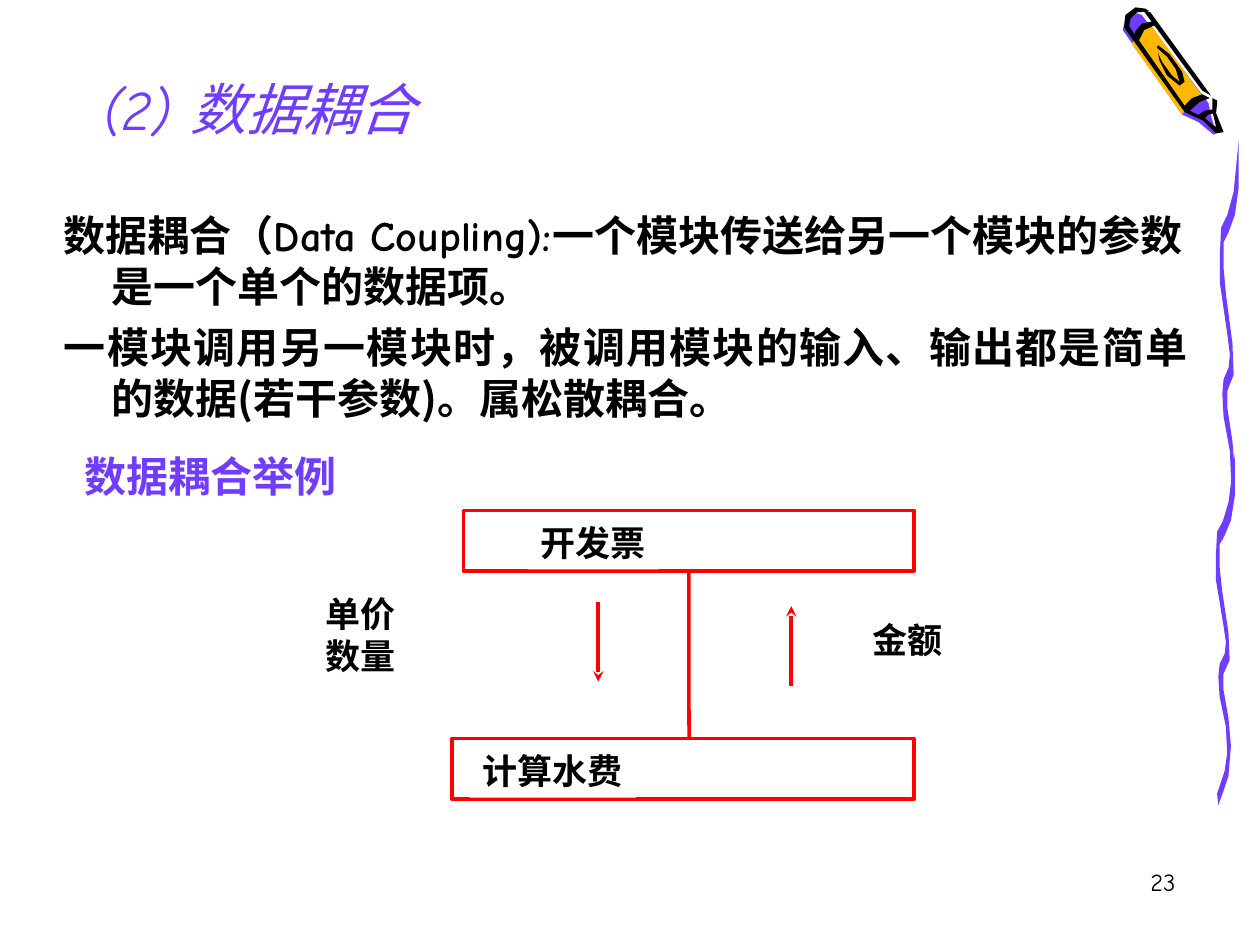
from dataclasses import dataclass

from lxml.etree import SubElement
from pptx import Presentation
from pptx.dml.color import RGBColor
from pptx.enum.shapes import MSO_CONNECTOR as CONN, MSO_SHAPE as SHAPE
from pptx.enum.text import MSO_ANCHOR as ANCHOR, PP_ALIGN as ALIGN
from pptx.oxml.ns import qn
from pptx.util import Cm, Pt


@dataclass(frozen=True)
class Theme:
    latin: str = "Comic Neue"
    cjk: str = "Noto Sans CJK SC"
    purple: str = "703DFF"
    orange: str = "FFB800"
    pale: str = "F8F8F8"
    white: str = "FFFFFF"
    black: str = "000000"
    red: str = "FF0000"
    title: int = 32
    body: int = 24
    label: int = 20
    number: int = 14
    line: int = 2


T = Theme()
UNIT = Cm(2.54) // 100  # grid step of the freeform outlines

# One wavy stroke on a grid 15 wide and 278 high
WAVE_HEIGHT = 278
WAVE = [
    (1, 269), (7, 251), (9, 237), (8, 216), (3, 192), (2, 176), (3, 166), (7, 158),
    (8, 149), (6, 135), (0, 99), (0, 81), (1, 61), (6, 52), (11, 36), (15, 0),
    (15, 33), (12, 52), (7, 64), (3, 71), (3, 89), (5, 108), (10, 141), (11, 163),
    (6, 174), (6, 186), (10, 209), (12, 231), (10, 255), (6, 267), (2, 278)]

CRAYON = [
    (T.pale, [(78, 97), (73, 82), (62, 60), (19, 3), (12, 1), (6, 6), (4, 16),
              (51, 82), (66, 89), (76, 98)]),
    (T.purple, [(16, 6), (69, 76), (71, 86), (75, 100), (73, 101), (61, 91),
                (48, 85), (1, 18), (3, 9), (10, 4)]),
    (T.orange, [(8, 29), (48, 85), (56, 75), (66, 73), (24, 15), (15, 19)]),
    (T.black, [(72, 81), (66, 82), (60, 86), (66, 88), (69, 85), (74, 84)]),
    (T.black, [(19, 1), (11, 0), (3, 6), (2, 16), (50, 83), (65, 90), (75, 100),
               (81, 99), (75, 84), (76, 74), (72, 72), (72, 82), (75, 95), (66, 88),
               (54, 82), (62, 75), (70, 72), (64, 69), (56, 72), (50, 78), (6, 15),
               (7, 9), (12, 4), (22, 3)]),
    (T.black, [(23, 4), (71, 70), (64, 66), (17, 2)]),
    (T.black, [(25, 11), (16, 13), (11, 19), (10, 24), (13, 28), (18, 18), (27, 14)]),
    (T.black, [(28, 32), (36, 39), (43, 49), (46, 59), (40, 54), (32, 43), (29, 36),
               (30, 42), (36, 54), (46, 62), (50, 59), (48, 51), (38, 37), (29, 30)]),
]


def rgb(color):
    return RGBColor.from_string(color)


def style(p, size, color, font=T.cjk, bold=False, italic=False):
    """Format the runs of a paragraph, with a line pitch of 1.2 times the size."""
    p.line_spacing = Pt(round(size * 1.2))
    for r in p.runs:
        f = r.font
        f.name, f.size, f.bold, f.italic = font, Pt(size), bold, italic
        f.color.rgb = rgb(color)
        SubElement(r._r.get_or_add_rPr(), qn("a:ea"), typeface=T.cjk)


def add_outline(slide, left, top, points, color, x_scale=UNIT, y_scale=UNIT):
    builder = slide.shapes.build_freeform(*points[0], scale=(x_scale, y_scale))
    builder.add_line_segments(points[1:], close=True)
    sp = builder.convert_to_shape(left, top)
    sp.shadow.inherit = False
    sp.fill.solid()
    sp.fill.fore_color.rgb = rgb(color)
    sp.line.fill.background()


def add_wave(slide, left, top, height):
    add_outline(slide, left, top, WAVE, T.purple, y_scale=height / WAVE_HEIGHT)


def add_crayon(slide, left, top):
    for color, points in CRAYON:
        add_outline(slide, left, top, points, color)


def add_text(slide, box, text, anchor=ANCHOR.TOP):
    tf = slide.shapes.add_textbox(*box).text_frame
    tf.word_wrap = True
    tf.vertical_anchor = anchor
    tf.text = text
    return tf


def add_title(slide, box, text):
    sp = slide.shapes.title
    sp.left, sp.top, sp.width, sp.height = box
    tf = sp.text_frame
    tf.text = text
    tf.vertical_anchor = ANCHOR.MIDDLE
    p = tf.paragraphs[0]
    p.alignment = ALIGN.JUSTIFY
    style(p, T.title, T.purple, T.latin, italic=True)


def add_body(slide, box, text):
    first, second = add_text(slide, box, text).paragraphs
    for p in (first, second):
        pPr = p._p.get_or_add_pPr()
        pPr.set("marL", str(Cm(0.96)))
        pPr.set("indent", str(-Cm(0.96)))
    tabs = SubElement(first._p.pPr, qn("a:tabLst"))
    SubElement(tabs, qn("a:tab"), pos=str(Cm(10.4)), algn="l")
    second.alignment = ALIGN.JUSTIFY
    second.space_before = Pt(6)
    style(first, T.body, T.black, T.latin, bold=True)
    style(second, T.body, T.black, bold=True)


def add_rect(slide, box, line=None):
    sp = slide.shapes.add_shape(SHAPE.RECTANGLE, *box)
    sp.shadow.inherit = False
    sp.fill.solid()
    sp.fill.fore_color.rgb = rgb(T.white)
    if line:
        sp.line.color.rgb = rgb(line)
        sp.line.width = Pt(T.line)
    else:
        sp.line.fill.background()
    return sp


def add_label(slide, box, text):
    tf = add_rect(slide, box).text_frame
    tf.word_wrap = False
    tf.vertical_anchor = ANCHOR.TOP
    tf.text = text
    for p in tf.paragraphs:
        p.alignment = ALIGN.LEFT
        style(p, T.label, T.black, bold=True)


def add_line(slide, x, y1, y2, arrow=False):
    cxn = slide.shapes.add_connector(CONN.STRAIGHT, x, y1, x, y2)
    cxn.line.color.rgb = rgb(T.red)
    cxn.line.width = Pt(T.line)
    if arrow:
        SubElement(cxn.line._get_or_add_ln(), qn("a:tailEnd"), type="stealth")
    SubElement(cxn._element.spPr, qn("a:effectLst"))
    return cxn


def add_coupling_diagram(slide, left, top):
    def place(x, y, w, h):
        return left + Cm(x), top + Cm(y), Cm(w), Cm(h)

    def vertical(x, y1, y2, arrow=False):
        return add_line(slide, left + Cm(x), top + Cm(y1), top + Cm(y2), arrow)

    caller = add_rect(slide, place(3.02, 0, 9.09, 1.22), T.red)
    vertical(7.57, 1.22, 4.6).begin_connect(caller, 2)
    add_label(slide, place(4.32, 0.1, 2.64, 1.09), "开发票")
    add_rect(slide, place(2.79, 4.6, 9.32, 1.22), T.red)
    add_label(slide, place(3.15, 4.7, 3.35, 1.09), "计算水费")
    vertical(5.74, 1.85, 3.45, arrow=True)
    vertical(9.63, 3.53, 1.93, arrow=True)
    add_label(slide, place(0, 1.52, 1.93, 1.96), "单价\n数量")
    add_label(slide, place(11.02, 2.06, 2.11, 1.09), "金额")


def main():
    prs = Presentation()
    prs.slide_width, prs.slide_height = Cm(25.4), Cm(19.05)
    slide = prs.slides.add_slide(prs.slide_layouts[5])

    add_wave(slide, Cm(24.51), Cm(9.17), Cm(7.06))
    add_wave(slide, Cm(24.59), Cm(2.82), Cm(8.08))
    add_crayon(slide, Cm(22.61), Cm(0.15))

    number = add_text(slide, (Cm(18.67), Cm(17.35), Cm(5.28), Cm(1.27)), "23").paragraphs[0]
    number.alignment = ALIGN.RIGHT
    style(number, T.number, T.black, T.latin)

    add_title(slide, (Cm(1.83), Cm(0.89), Cm(15.88), Cm(2.59)), "(2) 数据耦合")
    add_body(slide, (Cm(1.04), Cm(4.09), Cm(23.16), Cm(4.8)),
             "数据耦合（Data Coupling):\t一个模块传送给另一个模块的参数是一个单个的数据项。\n"
             "一模块调用另一模块时，被调用模块的输入、输出都是简单的数据(若干参数)。属松散耦合。")
    heading = add_text(slide, (Cm(1.45), Cm(8.76), Cm(17.22), Cm(1.65)),
                       "数据耦合举例", ANCHOR.MIDDLE).paragraphs[0]
    style(heading, T.body, T.purple, bold=True)
    add_coupling_diagram(slide, Cm(6.32), Cm(10.29))

    prs.save("out.pptx")


if __name__ == "__main__":
    main()
